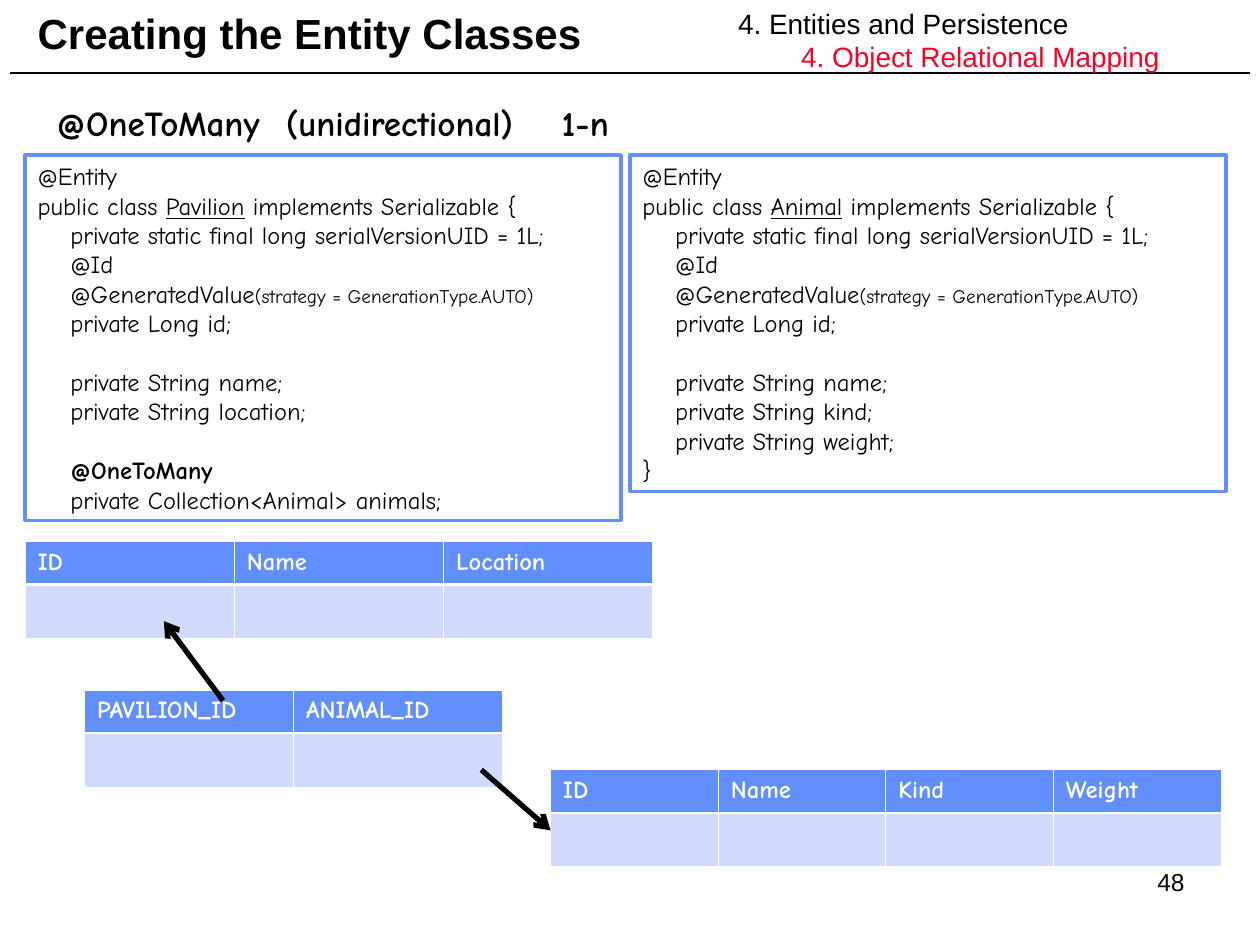
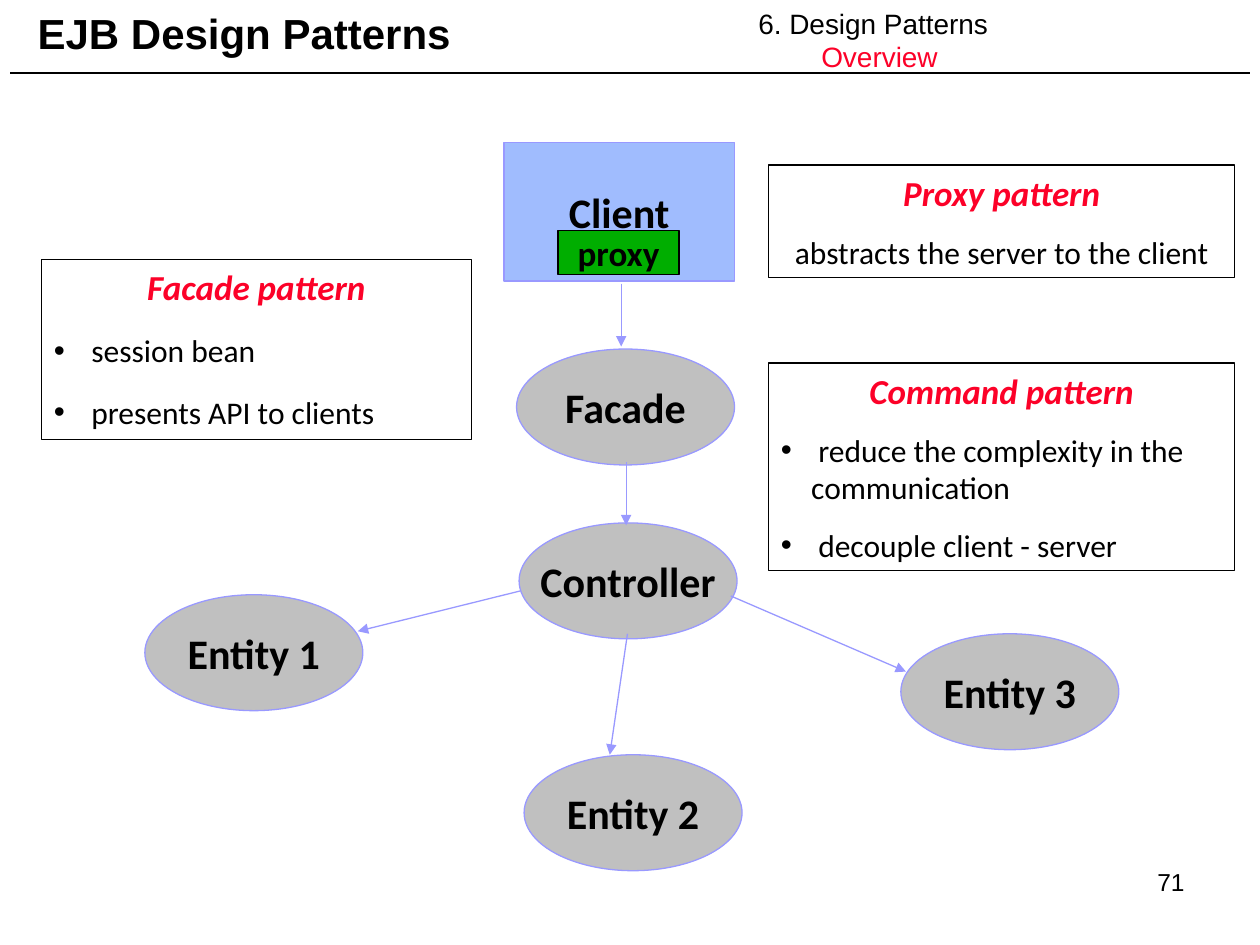
from pptx import Presentation
from pptx.dml.color import RGBColor
from pptx.enum.shapes import MSO_CONNECTOR, MSO_SHAPE
from pptx.enum.text import MSO_ANCHOR, PP_ALIGN
from pptx.oxml.ns import qn
from pptx.util import Inches, Pt
from lxml.etree import SubElement

# Shared style
BLACK = RGBColor(0x00, 0x00, 0x00)
WHITE = RGBColor(0xFF, 0xFF, 0xFF)
RED = RGBColor(0xFC, 0x01, 0x28)
BLUE = RGBColor(0x61, 0x8F, 0xFD)
PALE_BLUE = RGBColor(0xD2, 0xDB, 0xFE)
CLIENT_BLUE = RGBColor(0xA0, 0xBC, 0xFE)
LILAC = RGBColor(0x99, 0x99, 0xFF)
GREY = RGBColor(0xC0, 0xC0, 0xC0)
GREEN = RGBColor(0x00, 0xAE, 0x00)
HEAD_FONT, CODE_FONT, DIAGRAM_FONT = "Arial", "Comic Neue", "Calibri"

# Content: entity classes; a code line is a list of (text, style) spans
HEADING = "@OneToMany\t(unidirectional)\t1-n"
HEADING_TABS = (1.82, 4.01)


def class_start(name):
    return [
        [("@Entity", "")],
        [("public class ", ""), (name, "underline"),
         (" implements Serializable {", "")],
        [("    private static final long serialVersionUID = 1L;", "")],
        [("    @Id", "")],
        [("    @GeneratedValue", ""),
         ("(strategy = GenerationType.AUTO)", "small")],
        [("    private Long id;", "")],
        [],
        [("    private String name;", "")],
    ]


PAVILION_CODE = class_start("Pavilion") + [
    [("    private String location;", "")],
    [],
    [("    ", ""), ("@OneToMany", "bold")],
    [("    private Collection<Animal> animals;", "")],
]
ANIMAL_CODE = class_start("Animal") + [
    [("    private String kind;", "")],
    [("    private String weight;", "")],
    [("}", "")],
]
CODE_BOXES = [  # left, height, lines
    (0.2, 2.9, PAVILION_CODE),
    (5, 2.67, ANIMAL_CODE),
]
CODE_TOP, CODE_WIDTH, CODE_LINE = 1.23, 4.73, 16.8
DATA_TABLES = [  # left, top, column width, headers
    (0.2, 4.3, 1.66, ["ID", "Name", "Location"]),
    (4.37, 6.11, 1.33, ["ID", "Name", "Kind", "Weight"]),
    (0.67, 5.48, 1.66, ["PAVILION_ID", "ANIMAL_ID"]),
]
ROW_HEIGHTS = (0.34, 0.43)
KEY_ARROWS = [((1.77, 5.56), (1.3, 4.93)), ((3.82, 6.11), (4.37, 6.59))]

# Content: design patterns
NODE_SIZE = (1.73, 0.92)
NODES = [
    ("Facade", 4.1, 2.77),
    ("Controller", 4.12, 4.15),
    ("Entity 1", 1.15, 4.72),
    ("Entity 3", 7.15, 5.03),
    ("Entity 2", 4.16, 5.99),
]
CALL_ARROWS = [
    ((4.93, 2.25), (4.93, 2.75)),
    ((4.97, 3.67), (4.97, 4.17)),
    ((4.98, 5.03), (4.84, 5.99)),
    ((4.13, 4.69), (2.84, 5.01)),
    ((5.8, 4.73), (7.19, 5.33)),
]
PATTERNS = [  # area, name, bulleted, space before each line, lines
    ((0.33, 2.06, 3.41, 1.43), "Facade pattern", True, 13.5,
     [" session bean", " presents API to clients"]),
    ((6.1, 1.31, 3.7, 0.89), "Proxy pattern", False, 11.2,
     ["abstracts the server to the client"]),
    ((6.1, 2.88, 3.7, 1.65), "Command pattern", True, 11.2,
     [" reduce the complexity in the communication",
      " decouple client - server"]),
]


# Helpers
def style(font, name, size, color=BLACK, bold=False, italic=False):
    font.name, font.size = name, Pt(size)
    font.bold, font.italic = bold, italic
    font.color.rgb = color


def indent(para, left, first):
    properties = para._p.get_or_add_pPr()
    properties.set("marL", str(Inches(left)))
    properties.set("indent", str(Inches(first)))
    return properties


def add_text(page, area, text, font, size, **options):
    box = page.shapes.add_textbox(*map(Inches, area))
    box.text_frame.word_wrap = True
    para = box.text_frame.paragraphs[0]
    para.text = text
    style(para.font, font, size, **options)
    return box.text_frame


def add_figure(page, kind, area, fill, line, width):
    figure = page.shapes.add_shape(kind, *map(Inches, area))
    figure.shadow.inherit = False
    if fill is None:
        figure.fill.background()
    else:
        figure.fill.solid()
        figure.fill.fore_color.rgb = fill
    figure.line.color.rgb = line
    figure.line.width = Pt(width)
    frame = figure.text_frame
    frame.word_wrap = True
    frame.vertical_anchor = MSO_ANCHOR.TOP
    return frame


def add_label(page, kind, area, text, size, fill, line):
    frame = add_figure(page, kind, area, fill, line, 0.75)
    frame.word_wrap = False
    frame.vertical_anchor = MSO_ANCHOR.MIDDLE
    para = frame.paragraphs[0]
    para.text = text
    para.alignment = PP_ALIGN.CENTER
    style(para.font, DIAGRAM_FONT, size, bold=True)


def add_line(page, start, end, color, width, head=None):
    line = page.shapes.add_connector(
        MSO_CONNECTOR.STRAIGHT, *map(Inches, start + end))
    line.line.color.rgb = color
    line.line.width = Pt(width)
    if head:
        SubElement(line.line._get_or_add_ln(), qn("a:tailEnd"), type=head)
    SubElement(line._element.spPr, qn("a:effectLst"))


def add_page(deck, title, chapter, section, chapter_left, number):
    page = deck.slides.add_slide(deck.slide_layouts[6])
    add_line(page, (0.08, 0.58), (9.92, 0.58), BLACK, 1)
    frame = add_text(page, (0.2, 0, 5.88, 0.52), title, HEAD_FONT, 24, bold=True)
    frame.vertical_anchor = MSO_ANCHOR.MIDDLE
    frame = add_text(page, (chapter_left, 0, 10 - chapter_left, 0.64),
                     chapter, HEAD_FONT, 16)
    indent(frame.paragraphs[0], 0.5, -0.5)
    para = frame.add_paragraph()
    para.text = section
    indent(para, 1, -0.5)
    style(para.font, HEAD_FONT, 16, RED)
    frame = add_text(page, (7.17, 6.83, 2.33, 0.52), number, HEAD_FONT, 14)
    frame.paragraphs[0].alignment = PP_ALIGN.RIGHT
    return page


def add_code(page, left, height, lines):
    frame = add_figure(page, MSO_SHAPE.RECTANGLE,
                       (left, CODE_TOP, CODE_WIDTH, height), None, BLUE, 2)
    para, gap = frame.paragraphs[0], 0
    for index, spans in enumerate(lines):
        if not spans:  # an empty code line becomes space above the next one
            gap = CODE_LINE
            continue
        if index:
            para = frame.add_paragraph()
        para.alignment = PP_ALIGN.LEFT
        para.space_before, gap = Pt(gap), 0
        style(para.font, CODE_FONT, 14)
        for text, look in spans:
            span = para.add_run()
            span.text = text
            if look == "underline":
                span.font.underline = True
            elif look == "bold":
                span.font.bold = True
            elif look == "small":
                span.font.size = Pt(11)


def add_borders(cell, top, bottom):
    properties = cell._tc.get_or_add_tcPr()
    for side, width in (("L", 0.45), ("R", 0.45), ("T", top), ("B", bottom)):
        border = SubElement(properties, qn(f"a:ln{side}"), w=str(Pt(width)))
        paint = SubElement(border, qn("a:solidFill"))
        SubElement(paint, qn("a:srgbClr"), val=str(WHITE))


def add_data_table(page, left, top, column_width, headers):
    area = (left, top, column_width * len(headers), sum(ROW_HEIGHTS))
    table = page.shapes.add_table(2, len(headers), *map(Inches, area)).table
    for row, height in zip(table.rows, ROW_HEIGHTS):
        row.height = Inches(height)
    for column, header in enumerate(headers):
        table.columns[column].width = Inches(column_width)
        head, body = table.cell(0, column), table.cell(1, column)
        add_borders(head, 0.45, 1.47)
        add_borders(body, 1.47, 0.45)
        for cell, color in ((head, BLUE), (body, PALE_BLUE)):
            cell.fill.solid()
            cell.fill.fore_color.rgb = color
        para = head.text_frame.paragraphs[0]
        para.text = header
        style(para.font, CODE_FONT, 14, WHITE, bold=True)


def add_pattern(page, area, name, bulleted, gap, lines):
    frame = add_figure(page, MSO_SHAPE.RECTANGLE, area, None, BLACK, 0.75)
    para = frame.paragraphs[0]
    para.text = name
    para.alignment = PP_ALIGN.CENTER
    style(para.font, DIAGRAM_FONT, 20, RED, bold=True, italic=True)
    for line in lines:
        para = frame.add_paragraph()
        para.text = line
        para.alignment = PP_ALIGN.LEFT if bulleted else PP_ALIGN.CENTER
        para.space_before = Pt(gap)
        if bulleted:
            properties = indent(para, 0.24, -0.24)
            SubElement(properties, qn("a:buFont"), typeface="Arial")
            SubElement(properties, qn("a:buChar"), char="•")
        style(para.font, DIAGRAM_FONT, 18)


# Pages
def build_entity_page(deck):
    page = add_page(deck, "Creating the Entity Classes",
                    "4. Entities and Persistence",
                    "4. Object Relational Mapping", 5.76, "48")
    frame = add_text(page, (0.35, 0.76, 6.46, 0.44), "", CODE_FONT, 20, bold=True)
    para = frame.paragraphs[0]
    properties = para._p.get_or_add_pPr()
    tabs = properties.makeelement(qn("a:tabLst"))
    properties.insert(0, tabs)
    for position in HEADING_TABS:
        SubElement(tabs, qn("a:tab"), pos=str(Inches(position)), algn="l")
    para.add_run().text = HEADING
    for code_box in CODE_BOXES:
        add_code(page, *code_box)
    for data_table in DATA_TABLES:
        add_data_table(page, *data_table)
    for start, end in KEY_ARROWS:
        add_line(page, start, end, BLACK, 3, "arrow")


def build_pattern_page(deck):
    page = add_page(deck, "EJB Design Patterns", "6. Design Patterns",
                    "Overview", 5.92, "71")
    for name, left, top in NODES:
        add_label(page, MSO_SHAPE.OVAL, (left, top) + NODE_SIZE, name, 24,
                  GREY, LILAC)
    add_label(page, MSO_SHAPE.RECTANGLE, (4, 1.13, 1.83, 1.1), "Client", 24,
              CLIENT_BLUE, LILAC)
    for start, end in CALL_ARROWS:
        add_line(page, start, end, LILAC, 0.75, "triangle")
    add_label(page, MSO_SHAPE.RECTANGLE, (4.43, 1.83, 0.96, 0.35), "proxy", 20,
              GREEN, BLACK)
    for pattern in PATTERNS:
        add_pattern(page, *pattern)


def main():
    deck = Presentation()
    deck.slide_width, deck.slide_height = Inches(10), Inches(7.5)
    build_entity_page(deck)
    build_pattern_page(deck)
    deck.save("out.pptx")


if __name__ == "__main__":
    main()
